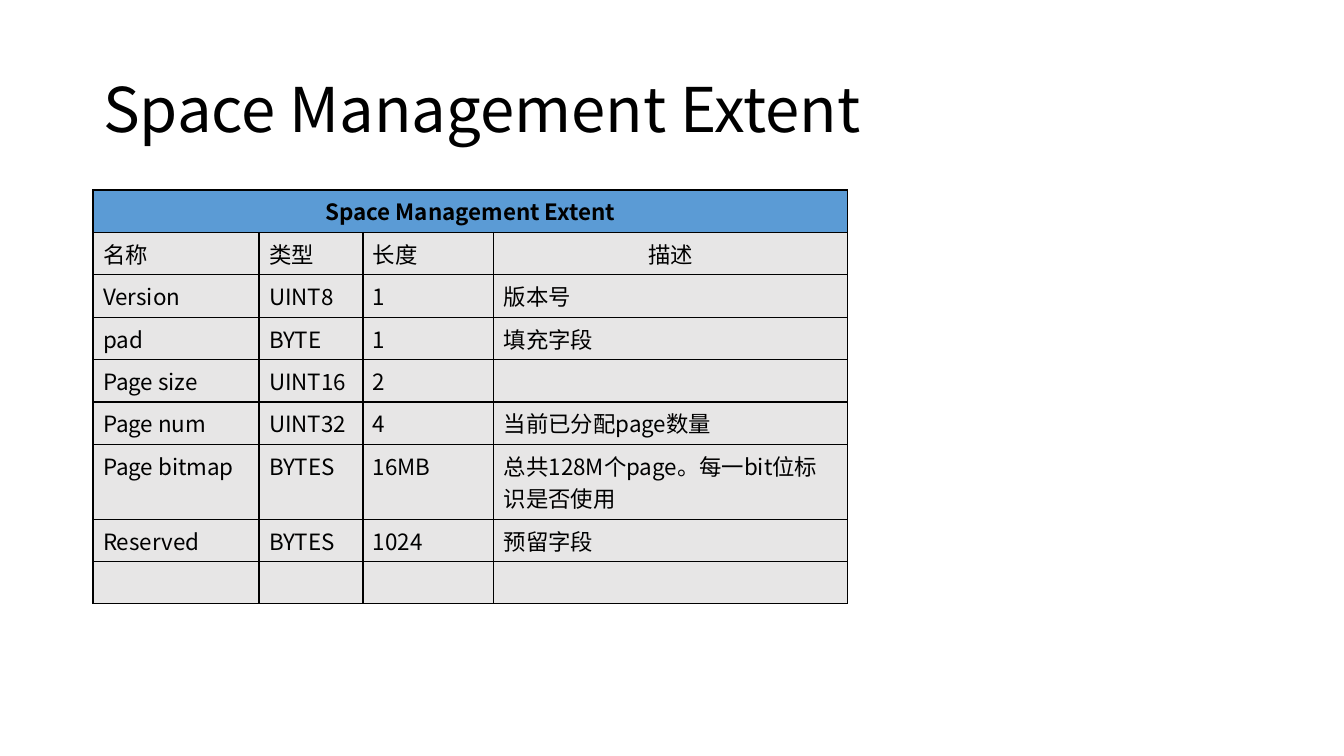
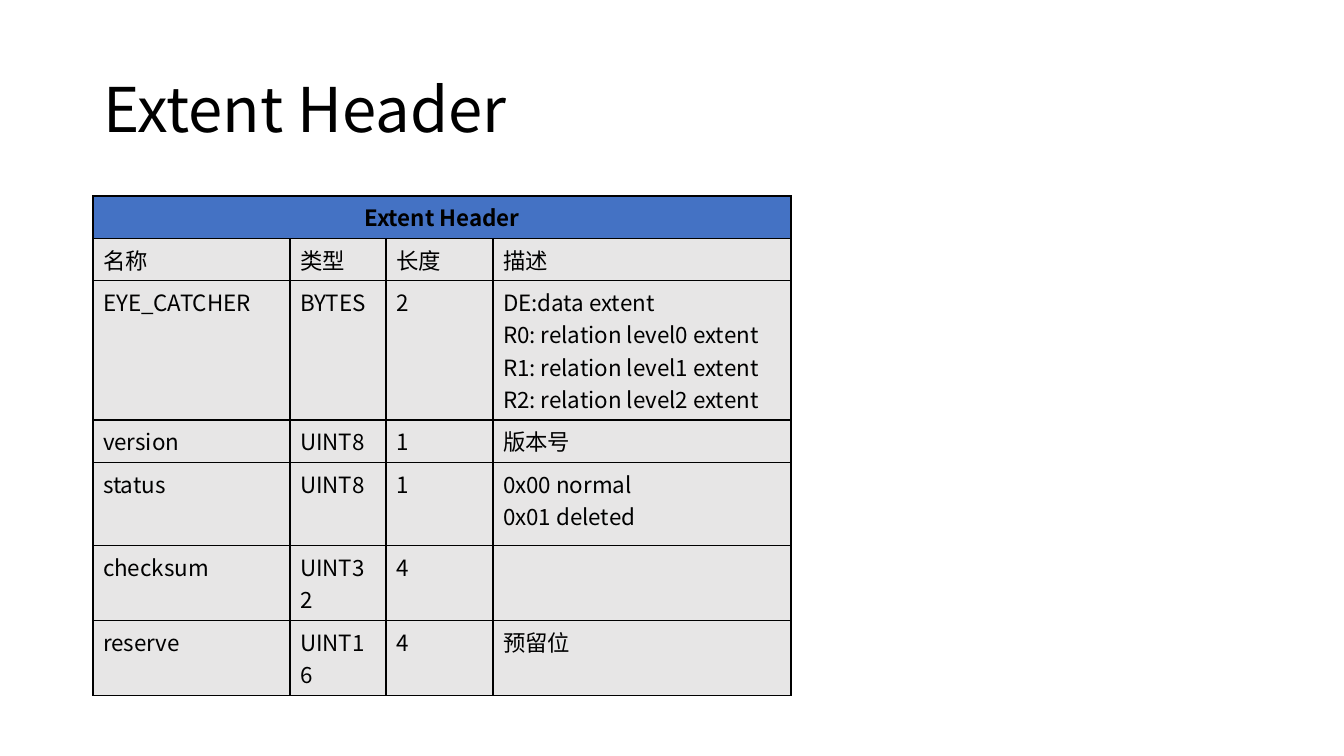
"""Build two slides that describe the layout of storage extents."""
from dataclasses import dataclass

from lxml import etree
from pptx import Presentation
from pptx.dml.color import RGBColor
from pptx.enum.text import MSO_ANCHOR, MSO_AUTO_SIZE, PP_ALIGN
from pptx.oxml.ns import qn
from pptx.util import Emu, Pt

LEFT, CENTER = PP_ALIGN.LEFT, PP_ALIGN.CENTER
MIDDLE = MSO_ANCHOR.MIDDLE
NO_AUTOFIT = MSO_AUTO_SIZE.NONE

EMU_PER_PX = 914400 / 100.8
SLIDE_SIZE = (1344, 756)
TITLE_BOX = (93, 40, 1159, 146)
TABLE_LEFT = 93
TITLE_ONLY = 5

FONT = "Noto Sans CJK SC"
TITLE_POINTS = 44
TABLE_POINTS = 16
BLACK = "000000"
BODY_FILL = "E7E6E6"
BORDER_TAGS = ("a:lnL", "a:lnR", "a:lnT", "a:lnB")

ONE_LINE, TWO_LINES, TWO_LINES_PADDED, FOUR_LINES = 42, 75, 83, 139
HEADINGS = ("名称", "类型", "长度", "描述")


@dataclass(frozen=True)
class Field:
    """One field of an extent, with the height of its row."""

    name: str = ""
    kind: str = ""
    length: str = ""
    description: str = ""
    height: int = ONE_LINE


@dataclass(frozen=True)
class ExtentSlide:
    """One slide: a title and a table of fields."""

    title: str
    top: int
    columns: tuple[int, ...]
    header_fill: str
    description_align: PP_ALIGN
    fields: tuple[Field, ...]


SLIDES = (
    ExtentSlide(
        "Space Management Extent", 190, (166, 104, 131, 354), "5B9BD5", CENTER,
        (
            Field("Version", "UINT8", "1", "版本号"),
            Field("pad", "BYTE", "1", "填充字段"),
            Field("Page size", "UINT16", "2"),
            Field("Page num", "UINT32", "4", "当前已分配page数量"),
            Field("Page bitmap", "BYTES", "16MB",
                  "总共128M个page。每一bit位标识是否使用", TWO_LINES),
            Field("Reserved", "BYTES", "1024", "预留字段"),
            Field(),
        ),
    ),
    ExtentSlide(
        "Extent Header", 196, (197, 96, 107, 298), "4472C4", LEFT,
        (
            Field("EYE_CATCHER", "BYTES", "2",
                  "DE:data extent\nR0: relation level0 extent\n"
                  "R1: relation level1 extent\nR2: relation level2 extent", FOUR_LINES),
            Field("version", "UINT8", "1", "版本号"),
            Field("status", "UINT8", "1", "0x00 normal\n0x01 deleted", TWO_LINES_PADDED),
            Field("checksum", "UINT32", "4", height=TWO_LINES),
            Field("reserve", "UINT16", "4", "预留位", TWO_LINES),
        ),
    ),
)


def px(length: int) -> Emu:
    """Turn a length in px into EMU."""
    return Emu(round(length * EMU_PER_PX))


def color(value: str) -> RGBColor:
    """Turn a hex string into a colour."""
    return RGBColor.from_string(value)


def add_run(paragraph, text: str, points: int, bold: bool = False) -> None:
    """Add one run in the shared font."""
    run = paragraph.add_run()
    run.text = text
    run.font.name = FONT
    run.font.size = Pt(points)
    run.font.bold = bold
    run.font.color.rgb = color(BLACK)
    east_asian = etree.SubElement(run.font._element, qn("a:ea"))
    east_asian.set("typeface", FONT)


def add_borders(cell) -> None:
    """Draw a one-point line on each side of a cell."""
    properties = cell._tc.get_or_add_tcPr()
    for index, tag in enumerate(BORDER_TAGS):
        line = etree.Element(qn(tag), w=str(Pt(1)))
        fill = etree.SubElement(line, qn("a:solidFill"))
        etree.SubElement(fill, qn("a:srgbClr"), val=BLACK)
        properties.insert(index, line)


def fill_cell(cell, text: str, fill: str, align: PP_ALIGN = LEFT, bold: bool = False) -> None:
    """Write and format one table cell, a paragraph for each line."""
    cell.fill.solid()
    cell.fill.fore_color.rgb = color(fill)
    add_borders(cell)
    frame = cell.text_frame
    for index, line in enumerate(text.split("\n")):
        paragraph = frame.add_paragraph() if index else frame.paragraphs[0]
        paragraph.alignment = align
        if line:
            add_run(paragraph, line, TABLE_POINTS, bold)
        else:
            etree.SubElement(paragraph._p, qn("a:endParaRPr"), sz=str(TABLE_POINTS * 100))


def format_title(slide, text: str) -> None:
    """Place and write the title placeholder."""
    title = slide.shapes.title
    title.left, title.top, title.width, title.height = map(px, TITLE_BOX)
    frame = title.text_frame
    frame.word_wrap = True
    frame.auto_size = NO_AUTOFIT
    frame.vertical_anchor = MIDDLE
    paragraph = frame.paragraphs[0]
    paragraph.alignment = LEFT
    paragraph.line_spacing = 0.9
    add_run(paragraph, text, TITLE_POINTS)


def add_field_table(slide, content: ExtentSlide) -> None:
    """Add the table with its merged header, headings and fields."""
    heights = [ONE_LINE, ONE_LINE, *(field.height for field in content.fields)]
    table = slide.shapes.add_table(
        len(heights), len(content.columns), px(TABLE_LEFT), px(content.top),
        px(sum(content.columns)), px(sum(heights)),
    ).table
    table.first_row = table.horz_banding = False
    for column, width in zip(table.columns, content.columns):
        column.width = px(width)
    for row, height in zip(table.rows, heights):
        row.height = px(height)

    last = len(content.columns) - 1
    for index in range(last + 1):
        text = "" if index else content.title
        fill_cell(table.cell(0, index), text, content.header_fill, CENTER, bold=True)
    table.cell(0, 0).merge(table.cell(0, last))

    for index, heading in enumerate(HEADINGS):
        align = content.description_align if index == last else LEFT
        fill_cell(table.cell(1, index), heading, BODY_FILL, align)
    for row_index, field in enumerate(content.fields, start=2):
        values = (field.name, field.kind, field.length, field.description)
        for index, value in enumerate(values):
            fill_cell(table.cell(row_index, index), value, BODY_FILL)


def main() -> None:
    """Build and save the presentation."""
    presentation = Presentation()
    presentation.slide_width, presentation.slide_height = map(px, SLIDE_SIZE)
    for content in SLIDES:
        slide = presentation.slides.add_slide(presentation.slide_layouts[TITLE_ONLY])
        format_title(slide, content.title)
        add_field_table(slide, content)
    presentation.save("out.pptx")


if __name__ == "__main__":
    main()
